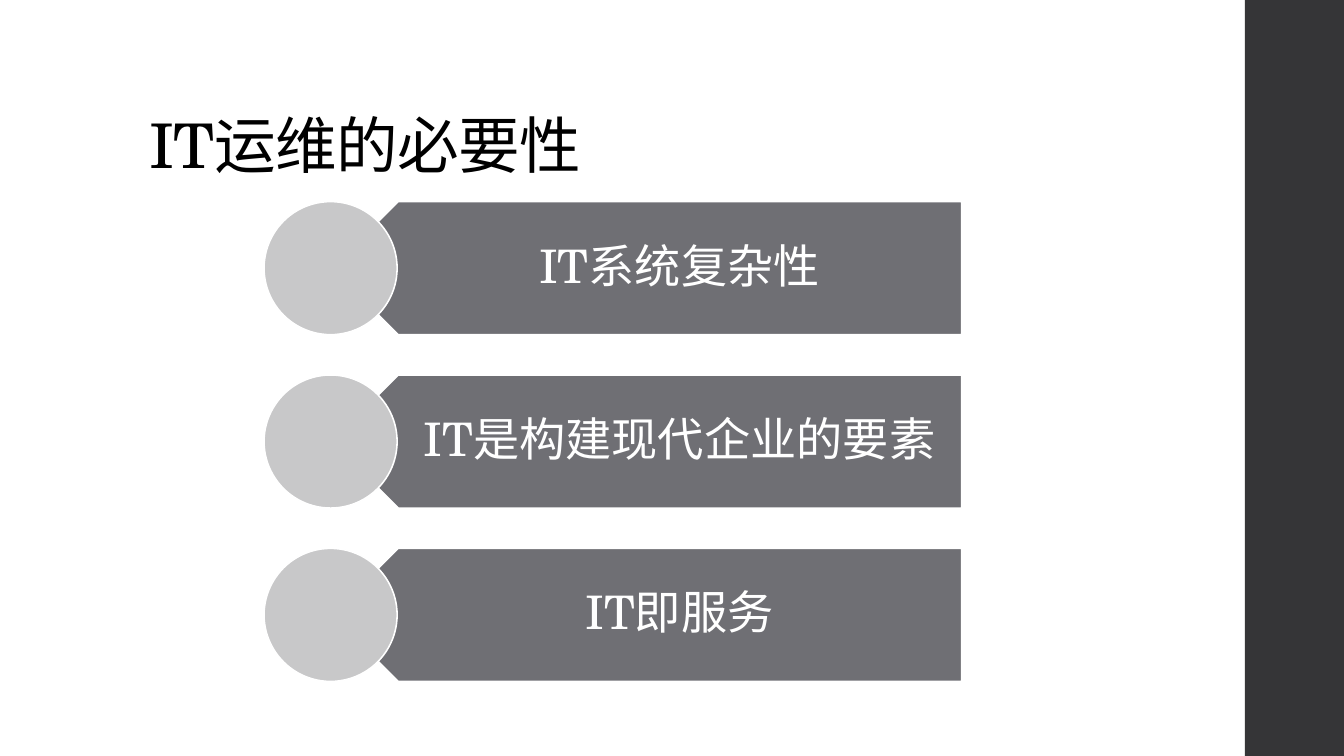
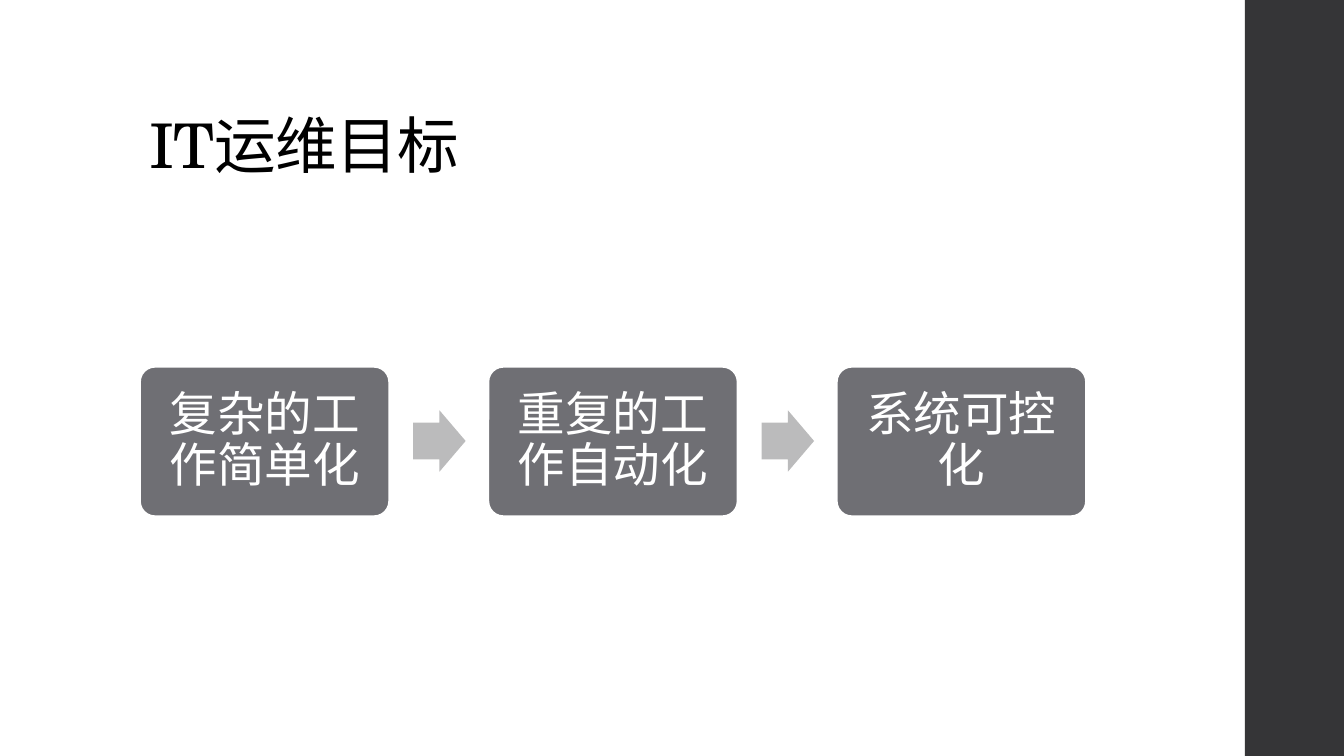
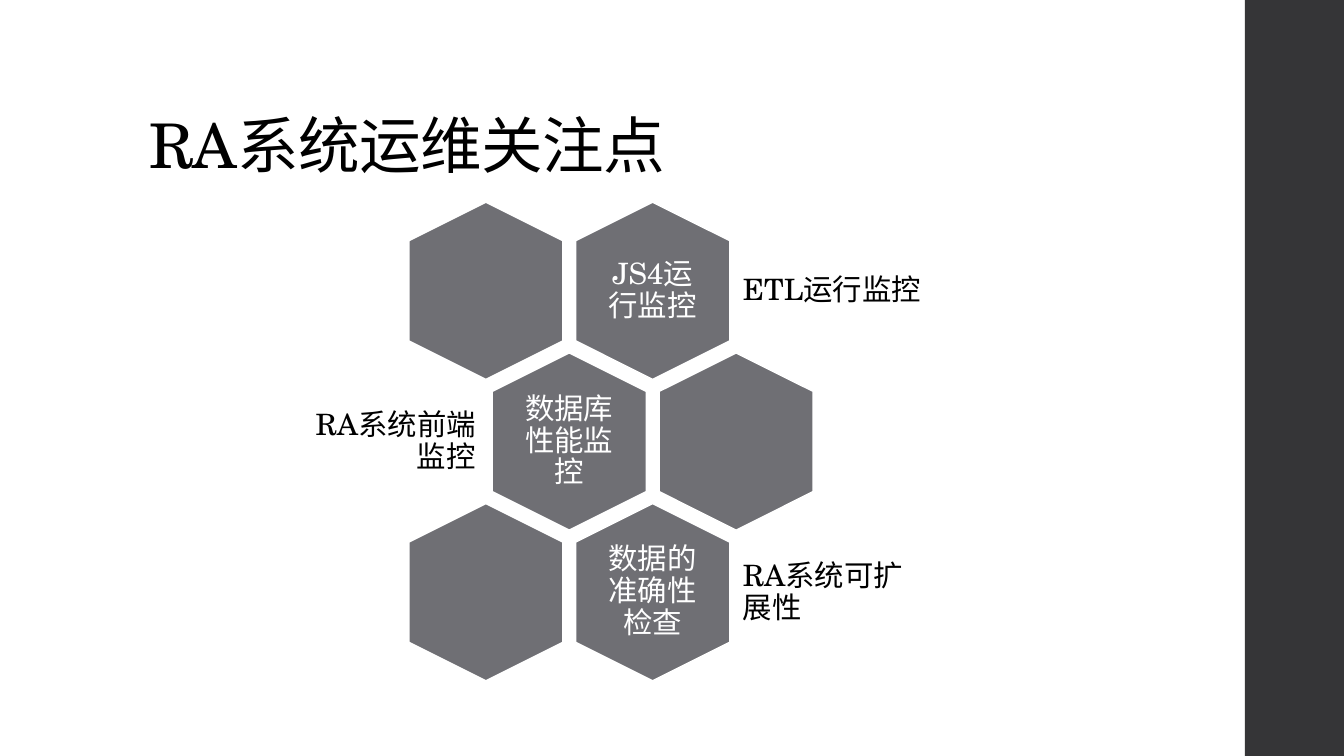
import pptx
import pptx.util
import pptx.dml.color
import pptx.enum.shapes
import pptx.enum.text

WIDTH, HEIGHT = pptx.util.Inches(13.33), pptx.util.Inches(7.5)
COLUMNS, ROWS = 160, 90
FONT = "TeX Gyre Schola"
BLACK, WHITE = "000000", "FFFFFF"
SIDE_BAND, PANEL, DISC, ARROW = "353537", "6F6F74", "C8C8C9", "BBBBBC"
KIND = pptx.enum.shapes.MSO_SHAPE
ALIGN = pptx.enum.text.PP_ALIGN
ANCHOR = pptx.enum.text.MSO_ANCHOR


def colour(hex_text):
    """Turn a hex string into a colour."""
    return pptx.dml.color.RGBColor.from_string(hex_text)


def cells(left, top, width, height):
    """Convert grid columns and rows to slide lengths."""
    column, row = WIDTH / COLUMNS, HEIGHT / ROWS
    return [round(value) for value in (left * column, top * row, width * column, height * row)]


def write(frame, text, size, tint=WHITE, align=ALIGN.CENTER):
    """Write one styled paragraph and return its run."""
    para = frame.paragraphs[0]
    para.alignment = align
    para.line_spacing = 0.9
    span = para.add_run()
    span.text = text
    span.font.size = pptx.util.Pt(size)
    span.font.name = FONT
    span.font.color.rgb = colour(tint)
    return span


def set_frame(frame, insets):
    """Wrap and centre a text frame with insets in inches."""
    frame.word_wrap = True
    frame.vertical_anchor = ANCHOR.MIDDLE
    frame.margin_left, frame.margin_top, frame.margin_right, frame.margin_bottom = map(
        pptx.util.Inches, insets)


def add_figure(page, kind, area, fill, outlined=True, rotation=0, adjust=()):
    """Add a flat preset shape on the grid."""
    shape = page.shapes.add_shape(kind, *cells(*area))
    shape.shadow.inherit = False
    shape.rotation = rotation
    shape.fill.solid()
    shape.fill.fore_color.rgb = colour(fill)
    if outlined:
        shape.line.color.rgb = colour(WHITE)
        shape.line.width = pptx.util.Pt(1.1)
    else:
        shape.line.fill.background()
    for index, value in enumerate(adjust):
        shape.adjustments[index] = value
    return shape


def add_label(page, area, text, size, insets, tint=WHITE, align=ALIGN.CENTER):
    """Add a vertically centred text box on the grid."""
    box = page.shapes.add_textbox(*cells(*area))
    set_frame(box.text_frame, insets)
    write(box.text_frame, text, size, tint, align)


def prepare_layout(deck):
    """Give the title-only layout its title area and side band."""
    layout = deck.slide_layouts[5]
    title = layout.placeholders[0]
    title.left, title.top, title.width, title.height = cells(16.56, 4.8, 127.2, 17.4)
    title.text_frame.vertical_anchor = ANCHOR.BOTTOM
    title.text_frame.auto_size = pptx.enum.text.MSO_AUTO_SIZE.NONE
    return layout


def move_band_to_layout(page, layout):
    """Draw the side band once and hand it to the layout."""
    band = add_figure(page, KIND.RECTANGLE, (148.2, 0, 12, ROWS), SIDE_BAND, outlined=False)
    band.element.nvSpPr.cNvPr.set("id", "20")
    layout.element.cSld.spTree.append(band.element)


def add_page(deck, layout, heading):
    """Add a slide with its heading."""
    page = deck.slides.add_slide(layout)
    span = write(page.shapes.title.text_frame, heading, 44, BLACK, ALIGN.LEFT)
    span.font._element.set("spc", "-50")
    return page


def add_reasons(page, reasons):
    """Stack pointed bars, each with a disc at its tip."""
    height, pitch = 15.84, 20.64
    for index, reason in enumerate(reasons):
        top = 24 + index * pitch
        add_figure(page, KIND.PENTAGON, (39.48, top, 75, height), PANEL, rotation=180)
        add_label(page, (43.44, top, 71.04, height), reason, 33, (0.58, 0.14, 0.26, 0.14))
        add_figure(page, KIND.OVAL, (31.44, top, height, height), DISC)


def add_steps(page, steps):
    """Line up rounded boxes with arrows between them."""
    pitch = 41.48
    for index, step in enumerate(steps):
        shift = index * pitch
        if index:
            add_figure(page, KIND.RIGHT_ARROW, (49.2 + shift - pitch, 48.84, 6.24, 7.32),
                       ARROW, outlined=False, adjust=(0.6, 0.5))
        box = add_figure(page, KIND.ROUNDED_RECTANGLE, (16.68 + shift, 43.68, 29.64, 17.76),
                         PANEL, adjust=(0.1,))
        set_frame(box.text_frame, (0.14,) * 4)
        write(box.text_frame, step, 34)


def add_honeycomb(page, concerns):
    """Build staggered pairs of hexagons with alternating side labels."""
    insets = (0.09,) * 4
    for row, (inner, outer) in enumerate(concerns):
        shifted = row % 2
        top = 25.44 + row * 17.94
        lefts = [47.28 + 19.86 * (column + shifted / 2) for column in range(2)]
        for left in lefts:
            add_figure(page, KIND.HEXAGON, (left, top, 21.12, 18.36), PANEL,
                       rotation=90, adjust=(0.25,))
        named = lefts[0] if shifted else lefts[1]
        add_label(page, (named + 4.2, top + 1.92, 12.72, 14.52), inner, 21, insets)
        side, width, align = (34.92, 22.8, ALIGN.RIGHT) if shifted else (87.36, 23.64, ALIGN.LEFT)
        add_label(page, (side, top + 2.88, width, 12.72), outer, 21, insets, BLACK, align)


def main():
    """Build and save the deck."""
    deck = pptx.Presentation()
    deck.slide_width, deck.slide_height = WIDTH, HEIGHT
    layout = prepare_layout(deck)

    page = add_page(deck, layout, "IT运维的必要性")
    move_band_to_layout(page, layout)
    add_reasons(page, ["IT系统复杂性", "IT是构建现代企业的要素", "IT即服务"])

    page = add_page(deck, layout, "IT运维目标")
    add_steps(page, ["复杂的工作简单化", "重复的工作自动化", "系统可控化"])

    page = add_page(deck, layout, "RA系统运维关注点")
    add_honeycomb(page, [
        ("JS4运行监控", "ETL运行监控"),
        ("数据库性能监控", "RA系统前端监控"),
        ("数据的准确性检查", "RA系统可扩展性"),
    ])
    deck.save("out.pptx")


main()
